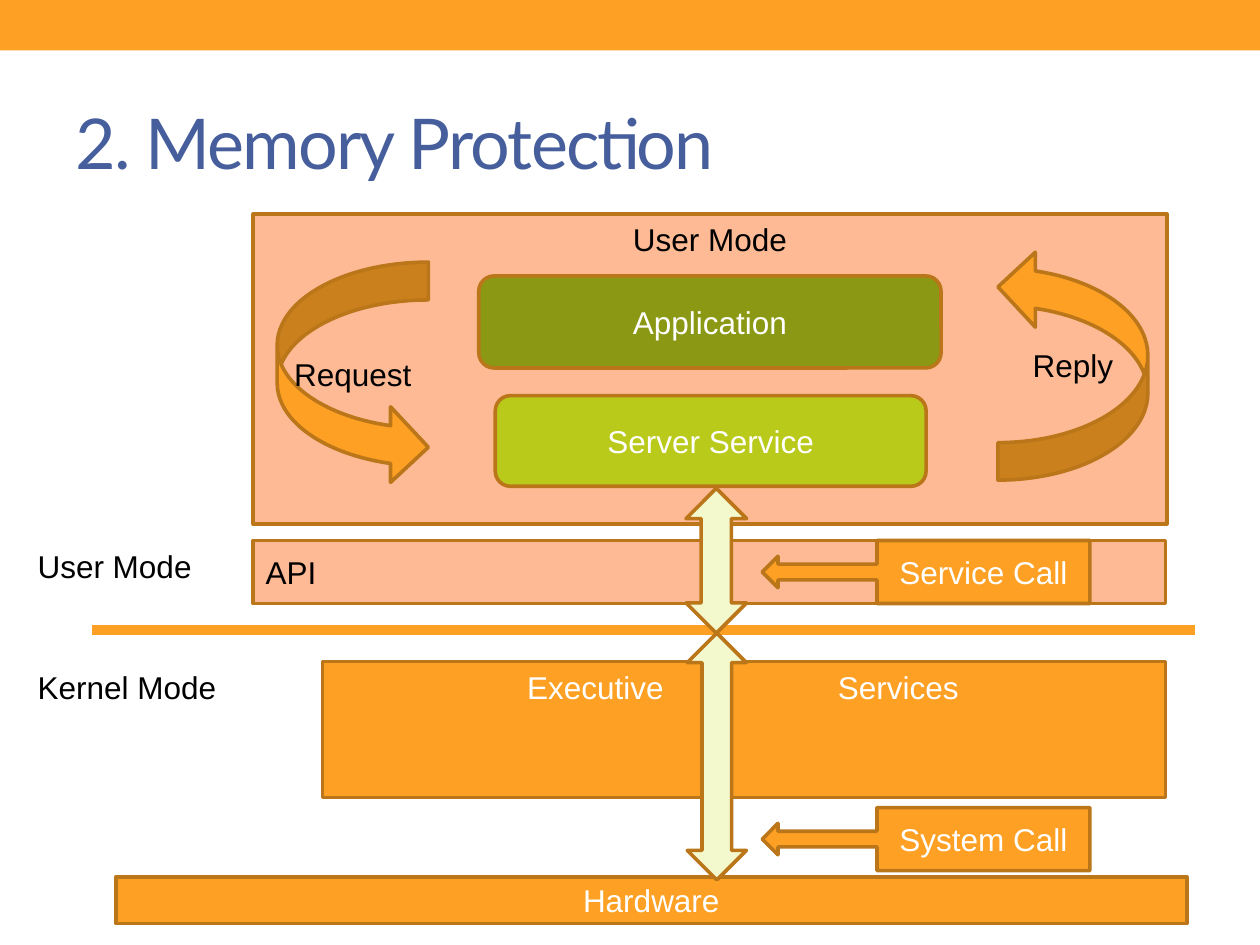
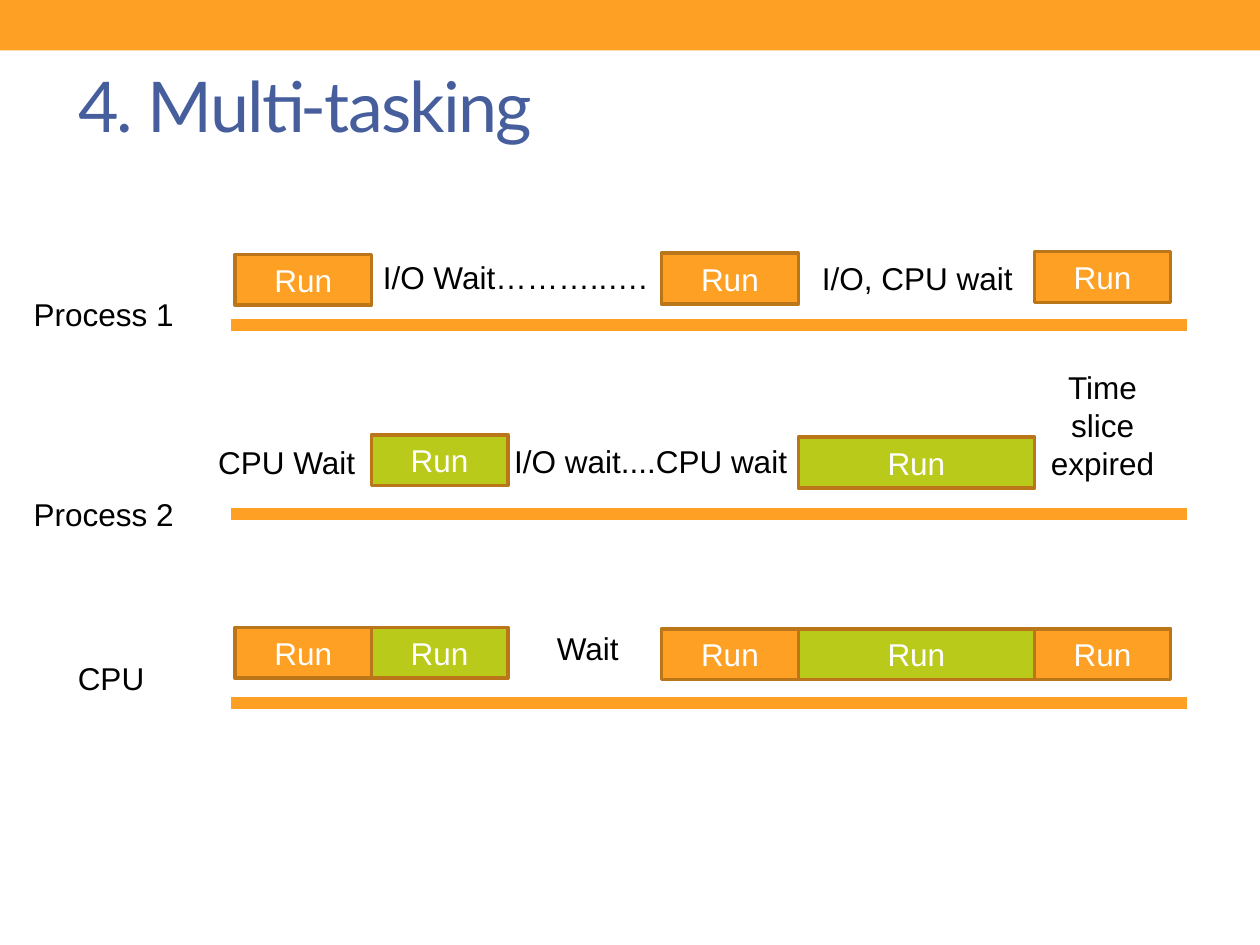
import pptx
import pptx.dml.color
import pptx.enum.shapes
import pptx.enum.text
import pptx.oxml
import pptx.oxml.ns
import pptx.util

Pt = pptx.util.Pt
RGBColor = pptx.dml.color.RGBColor
Shape = pptx.enum.shapes.MSO_SHAPE
Align = pptx.enum.text.PP_ALIGN
Anchor = pptx.enum.text.MSO_ANCHOR

ORANGE = RGBColor(0xFD, 0xA0, 0x23)
BROWN = RGBColor(0xBB, 0x76, 0x1A)
PEACH = RGBColor(0xFD, 0xBA, 0x95)
LIME = RGBColor(0xB9, 0xCA, 0x1A)
OLIVE = RGBColor(0x8B, 0x98, 0x13)
CREAM = RGBColor(0xF4, 0xF9, 0xCD)
BLUE = RGBColor(0x46, 0x5E, 0x9C)
WHITE = RGBColor(0xFF, 0xFF, 0xFF)
BLACK = RGBColor(0, 0, 0)

TITLE_FONT = {"name": "Lato", "size": Pt(40)}
BODY_FONT = {"name": "Arial", "size": Pt(18)}
SLIDE_WIDTH, SLIDE_HEIGHT = 720, 540
BAND_HEIGHT = 28.8
BORDER = 2.08
LABEL_HEIGHT = 28.8

# Slide 1: preset, text, (left, top, width, height), fill, text colour, options
MEMORY_TITLE = ("2. Memory Protection", (36, 41.8, 648, 77.8))
MODE_LINE = (52.6, 682.6, 360, 6)
TOP = {"anchor": Anchor.TOP}
TURNED = {"rotation": 270}
MEMORY_SHAPES = [
    (Shape.RECTANGLE, "\tExecutive\tServices", (184.3, 378, 481.7, 77.8), ORANGE, WHITE,
     {"anchor": Anchor.TOP, "align": Align.LEFT, "tabs": (109.8, 287.4)}),
    (Shape.RECTANGLE, "User Mode", (144.7, 122.4, 522, 177.1), PEACH, BLACK, TOP),
    (Shape.ROUNDED_RECTANGLE, "Server Service", (283, 226.1, 246.2, 51.8), LIME, WHITE, {}),
    (Shape.RECTANGLE, "API", (144.7, 308.9, 521.3, 36), PEACH, BLACK, {"align": Align.LEFT}),
    (Shape.ROUNDED_RECTANGLE, "Application", (273.6, 157.7, 264.2, 52.6), OLIVE, WHITE, {}),
    (Shape.RECTANGLE, "Hardware", (66.2, 501.1, 612, 26.6), ORANGE, WHITE, {}),
    (Shape.CURVED_RIGHT_ARROW, "Request", (158.4, 149.8, 86.4, 127.4), ORANGE, BLACK, {}),
    (Shape.CURVED_UP_ARROW, "Reply", (547.2, 165.6, 131.8, 85.7), ORANGE, BLACK,
     {"rotation": 270, "direction": "vert"}),
    (Shape.LEFT_RIGHT_ARROW, "", (367.9, 303.1, 82.8, 34.6), CREAM, BLACK, TURNED),
    (Shape.LEFT_RIGHT_ARROW, "", (339.1, 415.4, 141.1, 33.8), CREAM, BLACK, TURNED),
    (Shape.LEFT_ARROW_CALLOUT, "Service Call", (435.6, 308.9, 187.2, 36), ORANGE, WHITE, {}),
    (Shape.LEFT_ARROW_CALLOUT, "System Call", (435.6, 461.5, 187.2, 36), ORANGE, WHITE, {}),
]
MODE_LABELS = [  # text, left, top, width
    ("User Mode", 14.4, 308.9, 108),
    ("Kernel Mode", 14.4, 378, 132.5),
]

# Slide 2: runs lie between numbered time marks
TASKING_TITLE = ("4. Multi-tasking", (37.4, 20.9, 648, 77.8))
TIME_MARKS = (134.3, 212.3, 290.2, 378, 456.2, 591.1, 669)
RUN_HEIGHT = 29
FIRST_AXIS, AXIS_PITCH = 185.8, 108
AXIS_LEFT, AXIS_RIGHT, AXIS_WEIGHT = 131.8, 678.2, 7
PROCESS_1, PROCESS_2 = ORANGE, LIME
TIMELINES = [
    {"label": ("Process 1", 12.2, 164.9, 102.2),
     "runs": [(0, 1, 145.4, PROCESS_1), (3, 4, 144.7, PROCESS_1), (5, 6, 143.8, PROCESS_1)],
     "waits": [("I/O Wait………..….", (210.2, 143.3, 168.5, 29.5)),
               ("I/O, CPU wait", (456.5, 144, 135.4, 29.5))]},
    {"label": ("Process 2", 12.2, 279.4, 102.2),
     "runs": [(1, 2, 248.4, PROCESS_2), (4, 5, 249.8, PROCESS_2)],
     "waits": [("CPU Wait", (115.9, 249.1, 95.8, 29.5)),
               ("I/O wait....CPU wait", (282.2, 248.4, 179.3, 29.5)),
               ("Time slice expired", (591.1, 206.6, 77.8, 72.7))]},
    {"label": ("CPU", 37.4, 373, 61.9),
     "runs": [(0, 1, 358.6, PROCESS_1), (1, 2, 358.6, PROCESS_2), (3, 4, 359.3, PROCESS_1),
              (4, 5, 359.3, PROCESS_2), (5, 6, 359.3, PROCESS_1)],
     "waits": [("Wait", (288, 355.7, 95.8, 29.5))]},
]


def set_attributes(target, values):
    for name, value in values.items():
        setattr(target, name, value)


def write_text(shape, text, font, color, align=Align.CENTER, anchor=Anchor.MIDDLE):
    """Write one paragraph and return it."""
    frame = shape.text_frame
    set_attributes(frame, {"text": text, "word_wrap": True, "vertical_anchor": anchor})
    paragraph = frame.paragraphs[0]
    paragraph.alignment = align
    for run in paragraph.runs:
        set_attributes(run.font, font)
        run.font.color.rgb = color
    return paragraph


def add_tab_stops(paragraph, positions):
    properties = paragraph._p.get_or_add_pPr()
    tab_list = pptx.oxml.parse_xml(f'<a:tabLst {pptx.oxml.ns.nsdecls("a")}/>')
    for position in positions:
        tab = tab_list.makeelement(pptx.oxml.ns.qn("a:tab"),
                                   {"pos": str(Pt(position)), "algn": "l"})
        tab_list.append(tab)
    properties.append(tab_list)


def add_box(slide, preset, text, box, fill, color, options):
    shape = slide.shapes.add_shape(preset, *map(Pt, box))
    shape.shadow.inherit = False
    shape.fill.solid()
    shape.fill.fore_color.rgb = fill
    shape.line.color.rgb = BROWN
    shape.line.width = Pt(BORDER)
    shape.rotation = options.get("rotation", 0)
    if text:
        paragraph = write_text(shape, text, BODY_FONT, color,
                               options.get("align", Align.CENTER),
                               options.get("anchor", Anchor.MIDDLE))
        if "tabs" in options:
            add_tab_stops(paragraph, options["tabs"])
        if "direction" in options:
            shape.text_frame._txBody.bodyPr.set("vert", options["direction"])


def add_text(slide, text, box, **layout):
    textbox = slide.shapes.add_textbox(*map(Pt, box))
    write_text(textbox, text, BODY_FONT, BLACK, **layout)
    return textbox


def add_label(slide, text, left, top, width):
    textbox = add_text(slide, text, (left, top, width, LABEL_HEIGHT),
                       align=Align.LEFT, anchor=Anchor.TOP)
    textbox.text_frame.auto_size = pptx.enum.text.MSO_AUTO_SIZE.SHAPE_TO_FIT_TEXT


def add_rule(slide, left, right, y, weight):
    line = slide.shapes.add_connector(pptx.enum.shapes.MSO_CONNECTOR.STRAIGHT,
                                      Pt(left), Pt(y), Pt(right), Pt(y))
    line.line.color.rgb = ORANGE
    line.line.width = Pt(weight)
    line._element.spPr.append(
        pptx.oxml.parse_xml(f'<a:effectLst {pptx.oxml.ns.nsdecls("a")}/>'))


def start_slide(presentation, title_text, title_box):
    """Add a slide with the shared top band and title style."""
    slide = presentation.slides.add_slide(presentation.slide_layouts[5])
    band = slide.shapes.add_shape(Shape.RECTANGLE, 0, 0, Pt(SLIDE_WIDTH), Pt(BAND_HEIGHT))
    band.shadow.inherit = False
    band.fill.solid()
    band.fill.fore_color.rgb = ORANGE
    band.line.fill.background()

    title = slide.shapes.title
    set_attributes(title, dict(zip(("left", "top", "width", "height"), map(Pt, title_box))))
    paragraph = write_text(title, title_text, TITLE_FONT, BLUE, Align.LEFT)
    paragraph.runs[0].font._element.set("spc", "-100")
    return slide


def build_memory_slide(presentation):
    slide = start_slide(presentation, *MEMORY_TITLE)
    add_rule(slide, *MODE_LINE)
    for shape_data in MEMORY_SHAPES:
        add_box(slide, *shape_data)
    for label in MODE_LABELS:
        add_label(slide, *label)


def build_tasking_slide(presentation):
    slide = start_slide(presentation, *TASKING_TITLE)
    for index, timeline in enumerate(TIMELINES):
        add_rule(slide, AXIS_LEFT, AXIS_RIGHT, FIRST_AXIS + index * AXIS_PITCH, AXIS_WEIGHT)
        add_label(slide, *timeline["label"])
        for start, end, top, fill in timeline["runs"]:
            left = TIME_MARKS[start]
            box = (left, top, TIME_MARKS[end] - left, RUN_HEIGHT)
            add_box(slide, Shape.RECTANGLE, "Run", box, fill, WHITE, {})
        for text, box in timeline["waits"]:
            add_text(slide, text, box)


def main():
    presentation = pptx.Presentation()
    presentation.slide_width = Pt(SLIDE_WIDTH)
    presentation.slide_height = Pt(SLIDE_HEIGHT)
    build_memory_slide(presentation)
    build_tasking_slide(presentation)
    presentation.save("out.pptx")


if __name__ == "__main__":
    main()
